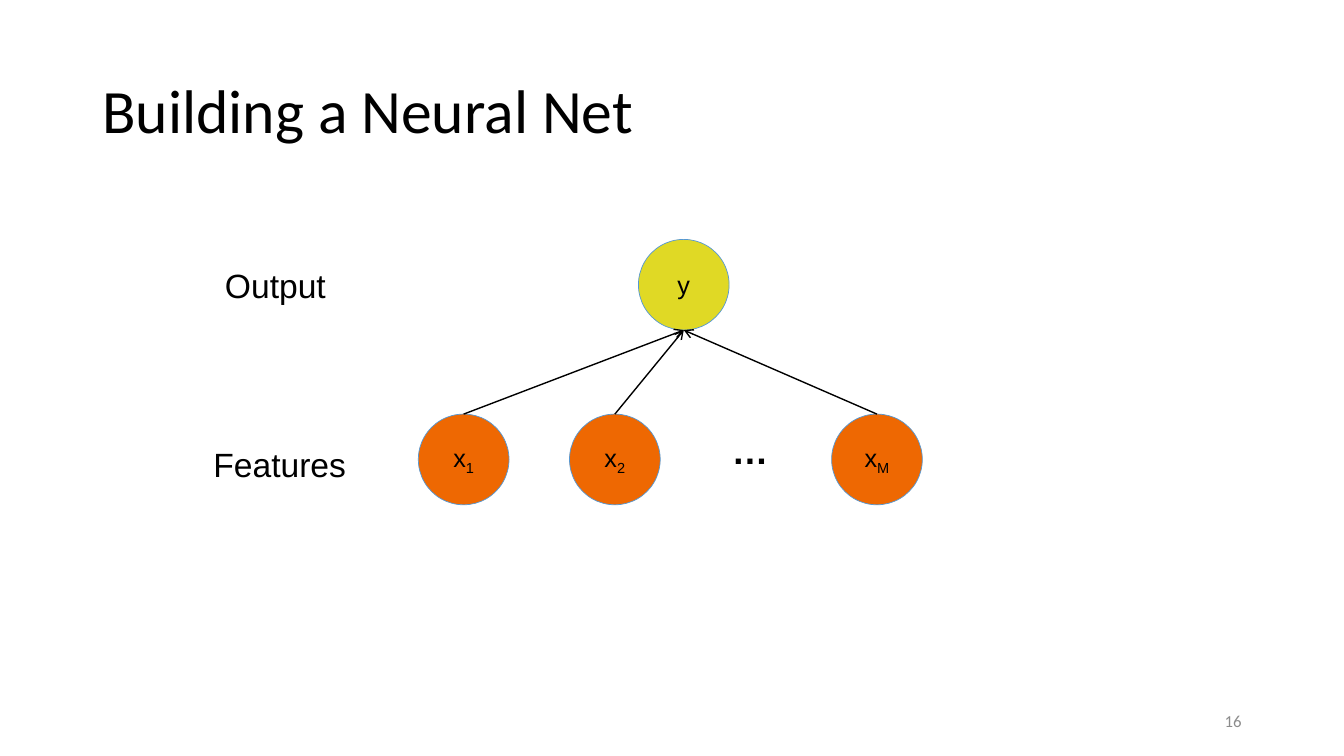
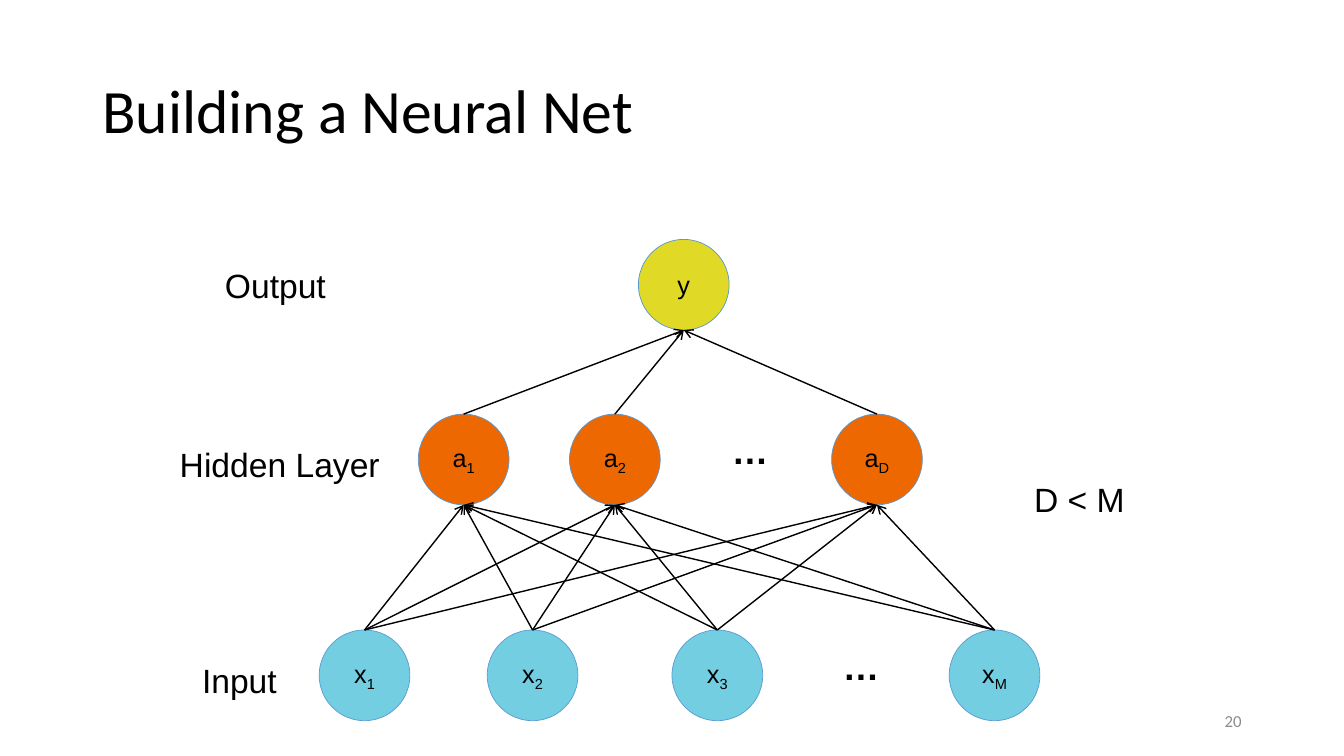
from dataclasses import dataclass
from itertools import pairwise, product

from lxml.etree import SubElement
from pptx import Presentation
from pptx.dml.color import RGBColor
from pptx.enum.shapes import MSO_CONNECTOR, MSO_SHAPE
from pptx.enum.text import MSO_ANCHOR, MSO_AUTO_SIZE, PP_ALIGN
from pptx.oxml.ns import qn
from pptx.shapes.autoshape import Shape
from pptx.slide import Slide
from pptx.util import Inches, Pt

BLACK = RGBColor(0x00, 0x00, 0x00)
GRAY = RGBColor(0x8C, 0x8C, 0x8C)
YELLOW = RGBColor(0xE0, 0xD9, 0x25)
ORANGE = RGBColor(0xEE, 0x68, 0x02)
CYAN = RGBColor(0x72, 0xCE, 0xE0)
STEEL_BLUE = RGBColor(0x56, 0x98, 0xD3)
SKY_BLUE = RGBColor(0x5B, 0x9B, 0xD5)

SLIDE_WIDTH, SLIDE_HEIGHT = Inches(13.33), Inches(7.5)
COLUMNS, ROWS = 160, 90
NODE_SIZE = 10.8
LABEL_HEIGHT = 6
ELLIPSIS_WIDTH, ELLIPSIS_HEIGHT = 7, 6.5
BOTTOM_SITE = "4"

TITLE_FONT = {"name": "Calibri", "size": Pt(44)}
NODE_FONT = {"name": "Arial", "size": Pt(18)}
LABEL_FONT = {"name": "Arial", "size": Pt(24)}
ELLIPSIS_FONT = {"name": "Arial", "size": Pt(26), "bold": True}
NUMBER_FONT = {"name": "Calibri", "size": Pt(12)}


@dataclass(frozen=True)
class Box:
    """An area in grid columns and rows."""
    column: float
    row: float
    width: float
    height: float

    def frame(self) -> dict[str, int]:
        return {
            "left": round(SLIDE_WIDTH * self.column / COLUMNS),
            "top": round(SLIDE_HEIGHT * self.row / ROWS),
            "width": round(SLIDE_WIDTH * self.width / COLUMNS),
            "height": round(SLIDE_HEIGHT * self.height / ROWS),
        }


@dataclass(frozen=True)
class Label:
    text: str
    column: float
    row: float
    width: float
    align: PP_ALIGN = PP_ALIGN.CENTER


@dataclass(frozen=True)
class Layer:
    symbol: str
    subscripts: tuple[str, ...]
    columns: tuple[float, ...]
    row: float
    fill: RGBColor
    outline: RGBColor
    label: Label
    ellipsis_column: float | None = None


@dataclass(frozen=True)
class Network:
    number: int
    layers: tuple[Layer, ...]
    notes: tuple[Label, ...] = ()


def middle_layer(symbol: str, last: str, name: str) -> Layer:
    return Layer(symbol, ("1", "2", last), (49.8, 67.8, 99), 49.3, ORANGE,
                 STEEL_BLUE, Label(name, 19.8, 52.3, 27), 85.8)


TITLE = "Building a Neural Net"
TITLE_BOX = Box(11, 4.8, 138, 17.4)
NUMBER_BOX = Box(113, 83.4, 36, 4.8)

OUTPUT = Layer("y", ("",), (76,), 28.5, YELLOW, STEEL_BLUE,
               Label("Output", 25.6, 31, 17, PP_ALIGN.LEFT))
INPUT = Layer("x", ("1", "2", "3", "M"), (38, 58, 80, 113), 75, CYAN,
              SKY_BLUE, Label("Input", 20, 78, 17), 99)

NETWORKS = (
    Network(16, (OUTPUT, middle_layer("x", "M", "Features"))),
    Network(20, (OUTPUT, middle_layer("a", "D", "Hidden Layer"), INPUT),
            (Label("D < M", 115, 56.4, 27),)),
)


def set_attributes(target: object, values: dict) -> None:
    for attribute, value in values.items():
        setattr(target, attribute, value)


def write(shape: Shape, text: str, font: dict, align: PP_ALIGN,
          anchor: MSO_ANCHOR = MSO_ANCHOR.MIDDLE, color: RGBColor = BLACK,
          subscript: str = "") -> None:
    set_attributes(shape.text_frame, {
        "word_wrap": True,
        "auto_size": MSO_AUTO_SIZE.NONE,
        "vertical_anchor": anchor,
    })
    paragraph = shape.text_frame.paragraphs[0]
    paragraph.alignment = align
    for part in filter(None, (text, subscript)):
        run = paragraph.add_run()
        run.text = part
        set_attributes(run.font, font)
        run.font.color.rgb = color
    if subscript:
        run.font._element.set("baseline", "-25000")


def add_text(slide: Slide, box: Box, *args, **options) -> None:
    write(slide.shapes.add_textbox(**box.frame()), *args, **options)


def add_label(slide: Slide, label: Label) -> None:
    box = Box(label.column, label.row, label.width, LABEL_HEIGHT)
    add_text(slide, box, label.text, LABEL_FONT, label.align, MSO_ANCHOR.TOP)


def add_node(slide: Slide, layer: Layer, column: float, subscript: str) -> Shape:
    box = Box(column, layer.row, NODE_SIZE, NODE_SIZE)
    node = slide.shapes.add_shape(MSO_SHAPE.FLOWCHART_CONNECTOR, **box.frame())
    node.shadow.inherit = False
    node.fill.solid()
    node.fill.fore_color.rgb = layer.fill
    node.line.color.rgb = layer.outline
    node.line.width = Pt(0.5)
    write(node, layer.symbol, NODE_FONT, PP_ALIGN.CENTER, subscript=subscript)
    return node


def add_layer(slide: Slide, layer: Layer) -> list[Shape]:
    nodes = [add_node(slide, layer, column, subscript)
             for column, subscript in zip(layer.columns, layer.subscripts)]
    if layer.ellipsis_column is not None:
        box = Box(layer.ellipsis_column, layer.row + 1,
                  ELLIPSIS_WIDTH, ELLIPSIS_HEIGHT)
        add_text(slide, box, "…", ELLIPSIS_FONT, PP_ALIGN.CENTER)
    return nodes


def add_arrow(slide: Slide, upper: Shape, lower: Shape) -> None:
    """Join two nodes, with the arrowhead at the upper one."""
    arrow = slide.shapes.add_connector(MSO_CONNECTOR.STRAIGHT, 0, 0, 0, 0)
    arrow.begin_connect(upper, 2)
    arrow.end_connect(lower, 0)
    # A circle has eight connection sites; its bottom one is the fifth.
    next(arrow._element.iter(qn("a:stCxn"))).set("idx", BOTTOM_SITE)
    arrow.line.color.rgb = BLACK
    arrow.line.width = Pt(1)
    SubElement(arrow.line._get_or_add_ln(), qn("a:headEnd"), type="arrow")
    SubElement(arrow._element.spPr, qn("a:effectLst"))


def add_title(slide: Slide) -> None:
    title = slide.shapes.title
    set_attributes(title, TITLE_BOX.frame())
    write(title, TITLE, TITLE_FONT, PP_ALIGN.LEFT)
    title.text_frame.paragraphs[0].line_spacing = 0.9


def add_network(slide: Slide, network: Network) -> None:
    add_title(slide)
    node_rows = [add_layer(slide, layer) for layer in network.layers]
    for uppers, lowers in pairwise(node_rows):
        for upper, lower in product(uppers, lowers):
            add_arrow(slide, upper, lower)
    for label in (*(layer.label for layer in network.layers), *network.notes):
        add_label(slide, label)
    add_text(slide, NUMBER_BOX, str(network.number), NUMBER_FONT,
             PP_ALIGN.RIGHT, color=GRAY)


def main() -> None:
    presentation = Presentation()
    set_attributes(presentation, {"slide_width": SLIDE_WIDTH,
                                  "slide_height": SLIDE_HEIGHT})
    title_only = presentation.slide_layouts.get_by_name("Title Only")
    for network in NETWORKS:
        add_network(presentation.slides.add_slide(title_only), network)
    presentation.save("out.pptx")


if __name__ == "__main__":
    main()
